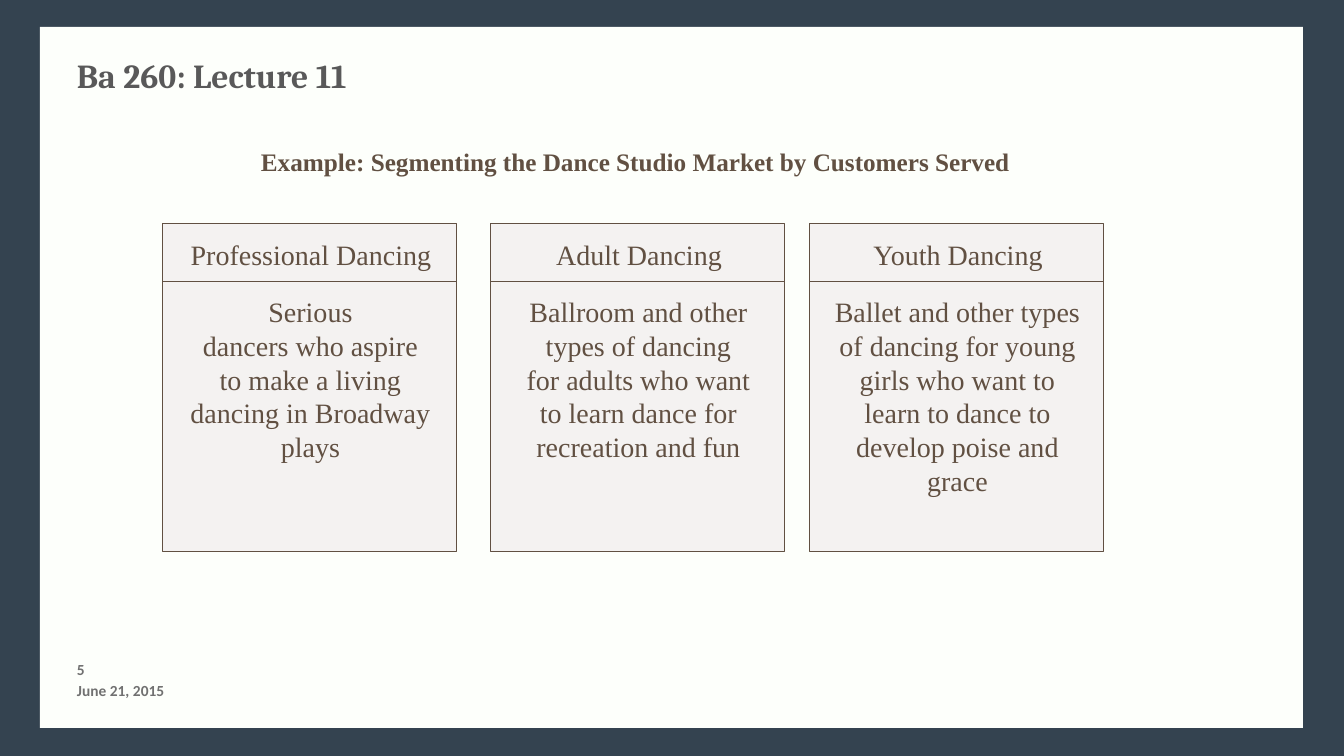
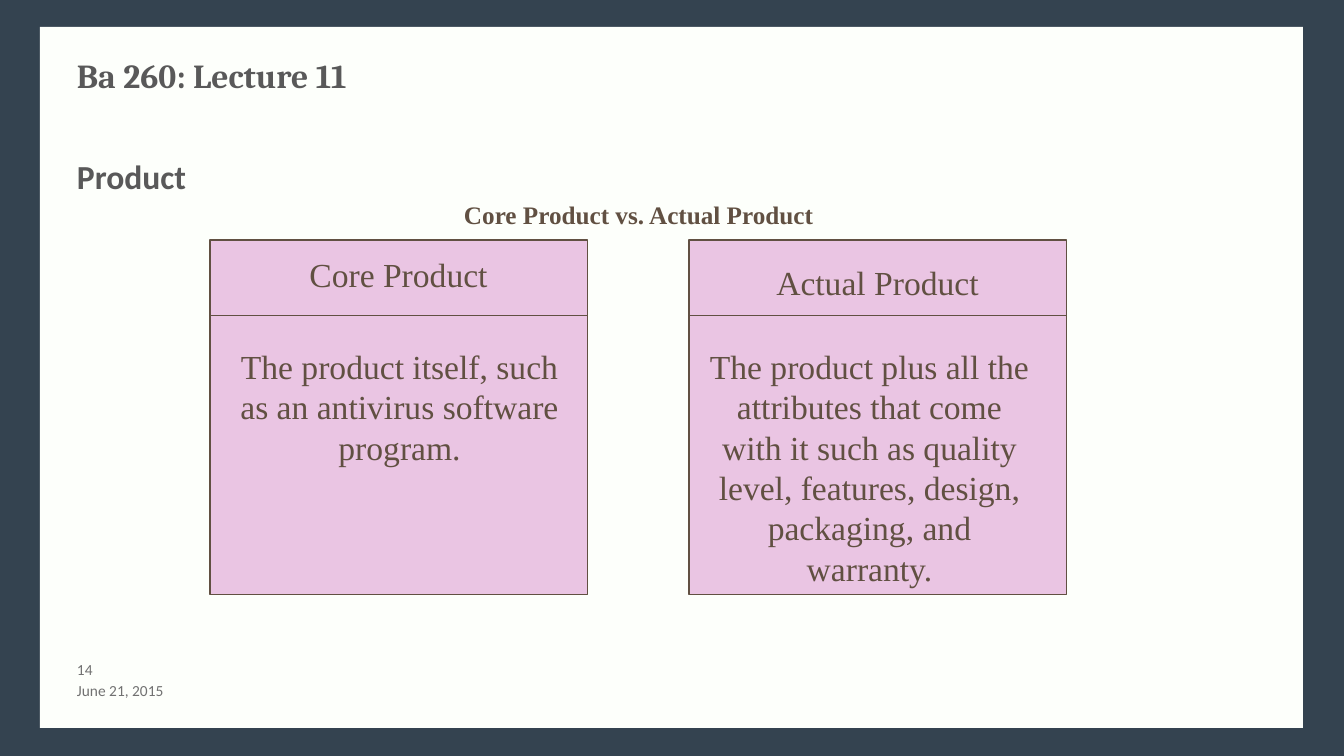
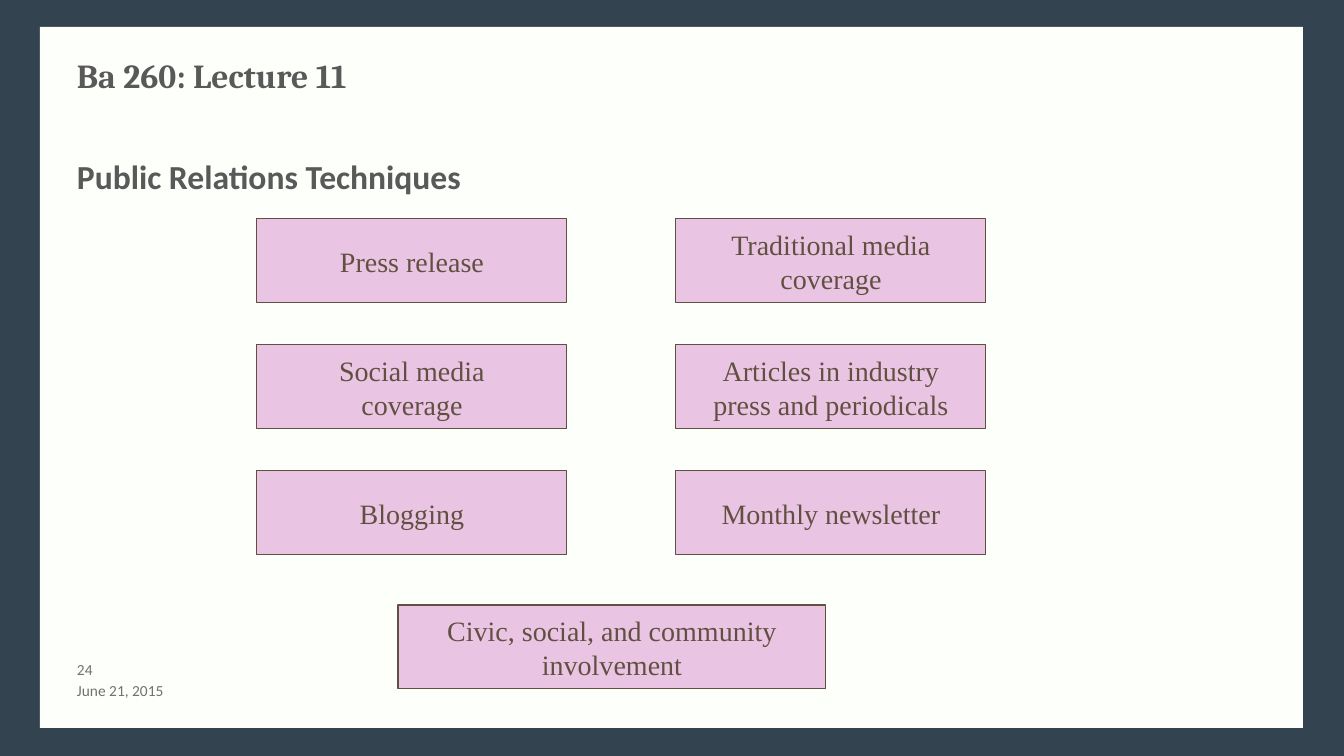
from pptx import Presentation
from pptx.dml.color import RGBColor
from pptx.enum.shapes import MSO_CONNECTOR, MSO_SHAPE
from pptx.enum.text import MSO_ANCHOR, PP_ALIGN
from pptx.oxml.ns import qn
from pptx.util import Pt
from lxml import etree

RECT = MSO_SHAPE.RECTANGLE
LINE = MSO_CONNECTOR.STRAIGHT
LEFT, CENTER = PP_ALIGN.LEFT, PP_ALIGN.CENTER
TOP, MIDDLE = MSO_ANCHOR.TOP, MSO_ANCHOR.MIDDLE

SCALE = 914400 / 100.8  # EMU in one pixel
WIDE, HIGH = 1344, 756
EDGE = 67  # left edge of title, subtitle and footer
HEX = {"frame": "344350", "panel": "FDFFFB", "title": "595959",
       "foot": "717171", "ink": "615042", "gray": "F4F2F1", "pink": "EAC5E3"}
SERIF, SANS, HEAD = "Times New Roman", "Calibri", "Cambria"


def px(*nums):
    return [round(n * SCALE) for n in nums]


def color(name):
    return RGBColor.from_string(HEX[name])


def write(shape, text, size=20, font=SERIF, ink="ink", bold=False,
          align=LEFT, anchor=TOP, wrap=True, pad=(10, 5, 10, 5)):
    """Fill a shape with text, one paragraph for each line."""
    frame = shape.text_frame
    frame.word_wrap = wrap
    frame.vertical_anchor = anchor
    (frame.margin_left, frame.margin_top,
     frame.margin_right, frame.margin_bottom) = px(*pad)
    for i, line in enumerate(text.split("\n")):
        para = frame.add_paragraph() if i else frame.paragraphs[0]
        para.alignment = align
        run = para.add_run()
        run.text = line
        run.font.size, run.font.name, run.font.bold = Pt(size), font, bold
        run.font.color.rgb = color(ink)


def label(slide, box, text, **form):
    write(slide.shapes.add_textbox(*px(*box)), text, **form)


def block(slide, box, fill, edge=True):
    shape = slide.shapes.add_shape(RECT, *px(*box))
    shape.shadow.inherit = False
    shape.fill.solid()
    shape.fill.fore_color.rgb = color(fill)
    if edge:
        shape.line.color.rgb = color("ink")
        shape.line.width = Pt(0.75)
    else:
        shape.line.fill.background()
    return shape


def rule(slide, x, y, width):
    line = slide.shapes.add_connector(LINE, *px(x, y, x + width, y))
    line.line.color.rgb = color("ink")
    line.line.width = Pt(0.75)
    etree.SubElement(line._element.spPr, qn("a:effectLst"))


def base(deck, number, topic=None, bold=False):
    """Start a slide with panel, title, footer and optional topic."""
    slide = deck.slides.add_slide(deck.slide_layouts[6])
    block(slide, (40, 27, 1263, 701), "panel", edge=False)
    label(slide, (EDGE, 50, 1210, 76), "Ba 260: Lecture 11",
          size=24, font=HEAD, ink="title", bold=True)
    if topic:
        label(slide, (EDGE, 151, 589, 479), topic,
              size=24, font=SANS, ink="title", bold=True)
    foot = dict(size=11, font=SANS, ink="foot", bold=bold)
    label(slide, (EDGE, 660, 53, 20), str(number), pad=(10, 0, 0, 0), **foot)
    label(slide, (EDGE, 680, 269, 20), "June 21, 2015", anchor=MIDDLE,
          pad=(10, 0, 10, 0), **foot)
    return slide


def card(slide, box, fill, split, size, head, body):
    """Box with a ruled head; head and body are (dx, dy, w, h, text)."""
    x, y, width, _ = box
    block(slide, box, fill)
    rule(slide, x, y + split, width)
    for dx, dy, w, h, text in (head, body):
        label(slide, (x + dx, y + dy, w, h), text, size=size, align=CENTER)


def market(deck):
    slide = base(deck, 5, bold=True)
    label(slide, (251, 141, 896, 40),
          "Example: Segmenting the Dance Studio Market by Customers Served",
          size=18, bold=True)
    cards = [
        (163, "Professional Dancing",
         "Serious\ndancers who aspire\nto make a living\n"
         "dancing in Broadway\nplays"),
        (491, "Adult Dancing",
         "Ballroom and other\ntypes of dancing\nfor adults who want\n"
         "to learn dance for\nrecreation and fun"),
        (810, "Youth Dancing",
         "Ballet and other types of dancing for young girls who want "
         "to learn to dance to develop poise and grace"),
    ]
    for x, head, body in cards:
        card(slide, (x, 224, 294, 328), "gray", 58, 20,
             (-16, 8, 328, 44, head), (9, 66, 277, 214, body))


def product(deck):
    slide = base(deck, 14, "Product")
    label(slide, (454, 194, 373, 40), "Core Product vs. Actual Product",
          size=18, bold=True, wrap=False)
    cards = [
        (210, (8, 9, 361, 51, "Core Product"),
         (17, 101, 345, 132,
          "The product itself, such as an antivirus software program.")),
        (689, (8, 17, 361, 51, "Actual Product"),
         (8, 101, 345, 254,
          "The product plus all the attributes that come with it such as "
          "quality level, features, design, packaging, and warranty.")),
    ]
    for x, head, body in cards:
        card(slide, (x, 240, 378, 355), "pink", 76, 24, head, body)


def tile(slide, box, text):
    write(block(slide, box, "pink"), text, align=CENTER, anchor=MIDDLE,
          wrap=False)


def press(deck):
    slide = base(deck, 24, "Public Relations Techniques")
    grid = [
        ("Press release", "Traditional media\ncoverage"),
        ("Social media\ncoverage",
         "Articles in industry\npress and periodicals"),
        ("Blogging", "Monthly newsletter"),
    ]
    for r, row in enumerate(grid):
        for c, text in enumerate(row):
            tile(slide, (257 + 419 * c, 219 + 126 * r, 310, 84), text)
    tile(slide, (398, 605, 428, 84),
         "Civic, social, and community\ninvolvement")


deck = Presentation()
deck.slide_width, deck.slide_height = px(WIDE, HIGH)
back = deck.slide_master.background.fill
back.solid()
back.fore_color.rgb = color("frame")
for build in (market, product, press):
    build(deck)
deck.save("out.pptx")
